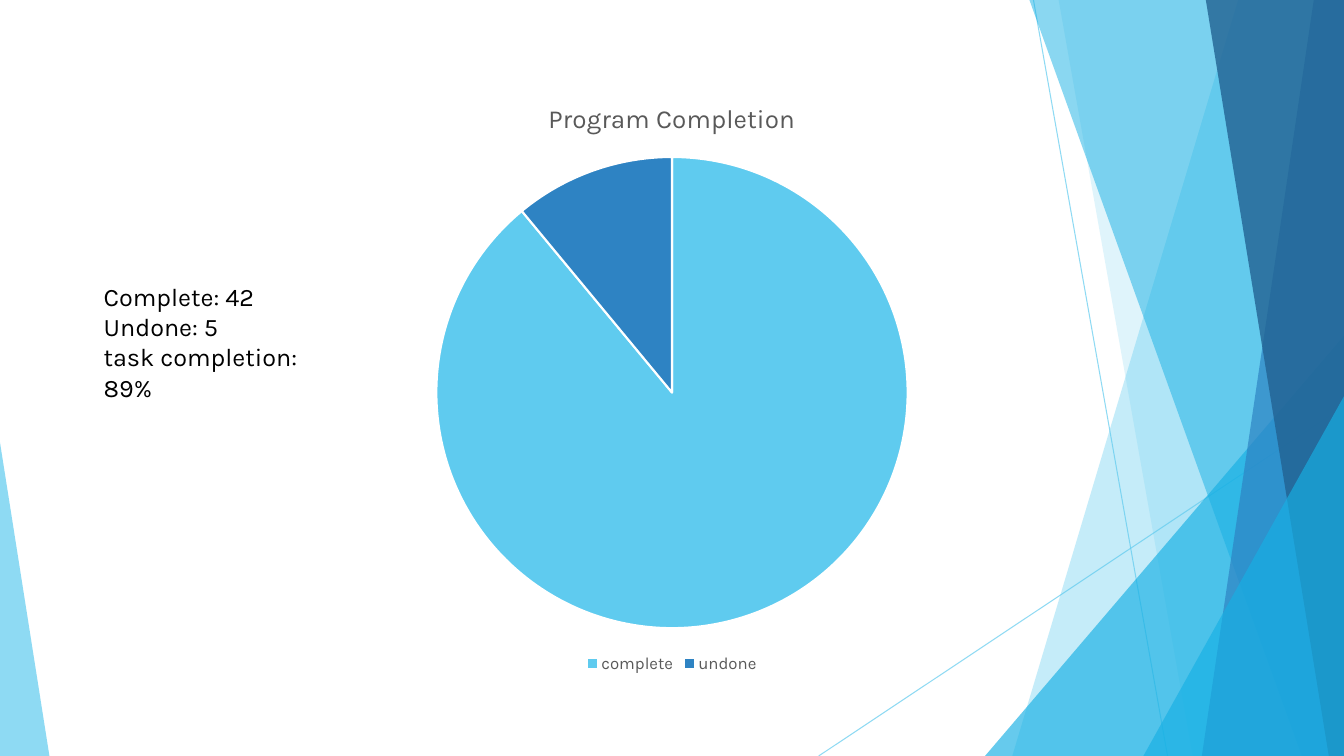
import pptx
import pptx.chart.data
import pptx.dml.color
import pptx.enum.chart
import pptx.enum.shapes
import pptx.oxml.ns
import pptx.util
from lxml import etree

Inches = pptx.util.Inches
Pt = pptx.util.Pt
RGBColor = pptx.dml.color.RGBColor
qn = pptx.oxml.ns.qn

SKY = RGBColor(0x5F, 0xCB, 0xEF)
CYAN = RGBColor(0x17, 0xB0, 0xE4)
BLUE = RGBColor(0x2E, 0x83, 0xC3)
NAVY = RGBColor(0x22, 0x62, 0x92)
GRAY = RGBColor(0x59, 0x59, 0x59)
BLACK = RGBColor(0, 0, 0)
WHITE = RGBColor(255, 255, 255)
FONT = "Karla"
WIDTH, HEIGHT = 13.33, 7.5


def set_opacity(fill, color, percent):
    """Give a fill a solid color with the given opacity."""
    fill.solid()
    fill.fore_color.rgb = color
    for node in fill._xPr.iter(qn("a:srgbClr")):
        etree.SubElement(node, qn("a:alpha"), val=str(percent * 1000))


def format_font(font, size, color):
    values = {"name": FONT, "size": Pt(size), "bold": False}
    for name, value in values.items():
        setattr(font, name, value)
    font.color.rgb = color


deck = pptx.Presentation()
deck.slide_width, deck.slide_height = Inches(WIDTH), Inches(HEIGHT)
page = deck.slides.add_slide(deck.slide_layouts[6])
shapes = page.shapes

# Thin background lines: start x, start y, end x
for start_x, start_y, end_x in [(10.25, 0, 11.58), (WIDTH, 4.03, 8.12)]:
    line = shapes.add_connector(
        pptx.enum.shapes.MSO_CONNECTOR.STRAIGHT,
        Inches(start_x), Inches(start_y), Inches(end_x), Inches(HEIGHT))
    line.line.width = Pt(0.75)
    set_opacity(line.line.fill, SKY, 70)
    etree.SubElement(line._element.spPr, qn("a:effectLst"))

# Background facets, back to front.
# A band runs to the right edge: top x, bottom x.
# A triangle stands on the bottom edge: left, top, width, apex position.
facets = [
    ("band", (12.28, 10.04), SKY, 36),
    ("band", (10.5, 11.83), SKY, 20),
    ("triangle", (9.77, 3.33, 3.56, 1), CYAN, 66),
    ("band", (10.21, 12.91), CYAN, 50),
    ("band", (13.03, 11.92), BLUE, 70),
    ("band", (11.96, 13.18), NAVY, 80),
    ("triangle", (11.34, 3.93, 1.99, 1), CYAN, 66),
    ("triangle", (0, 4.39, 0.49, 0), SKY, 70),
]
for kind, geometry, color, opacity in facets:
    if kind == "band":
        top_x, bottom_x = geometry
        outline = shapes.build_freeform(Inches(top_x), 0)
        corners = [(WIDTH, 0), (WIDTH, HEIGHT), (bottom_x, HEIGHT)]
        outline.add_line_segments([(Inches(x), Inches(y)) for x, y in corners])
        facet = outline.convert_to_shape()
    else:
        left, top, width, apex = geometry
        facet = shapes.add_shape(
            pptx.enum.shapes.MSO_SHAPE.ISOSCELES_TRIANGLE,
            Inches(left), Inches(top), Inches(width), Inches(HEIGHT - top))
        facet.adjustments[0] = apex
    facet.shadow.inherit = False
    facet.line.fill.background()
    set_opacity(facet.fill, color, opacity)

# Completion pie chart
data = pptx.chart.data.CategoryChartData()
data.categories = ["complete", "undone"]
data.add_series("Program Completion", [89, 11])
chart = shapes.add_chart(
    pptx.enum.chart.XL_CHART_TYPE.PIE, Inches(2.22), Inches(0.79),
    Inches(8.89), Inches(5.93), data).chart
format_font(chart.font, 10, BLACK)

chart.has_title = True
chart.chart_title.include_in_layout = False
title = chart.chart_title.text_frame
title.text = "Program Completion"
format_font(title.paragraphs[0].runs[0].font, 18.6, GRAY)

chart.has_legend = True
chart.legend.position = pptx.enum.chart.XL_LEGEND_POSITION.BOTTOM
chart.legend.include_in_layout = False
format_font(chart.legend.font, 12, GRAY)

plot = chart.plots[0]
plot.vary_by_categories = True
for index, color in enumerate([SKY, BLUE]):
    slice_format = plot.series[0].points[index].format
    slice_format.fill.solid()
    slice_format.fill.fore_color.rgb = color
    slice_format.line.color.rgb = WHITE
    slice_format.line.width = Pt(1.5)

# Task totals
box = shapes.add_textbox(Inches(0.93), Inches(2.74), Inches(2.58), Inches(1.01))
frame = box.text_frame
frame.word_wrap = True
frame.text = "Complete: 42\nUndone: 5\ntask completion: 89%"
for para in frame.paragraphs:
    format_font(para.runs[0].font, 18, BLACK)

deck.save("out.pptx")
